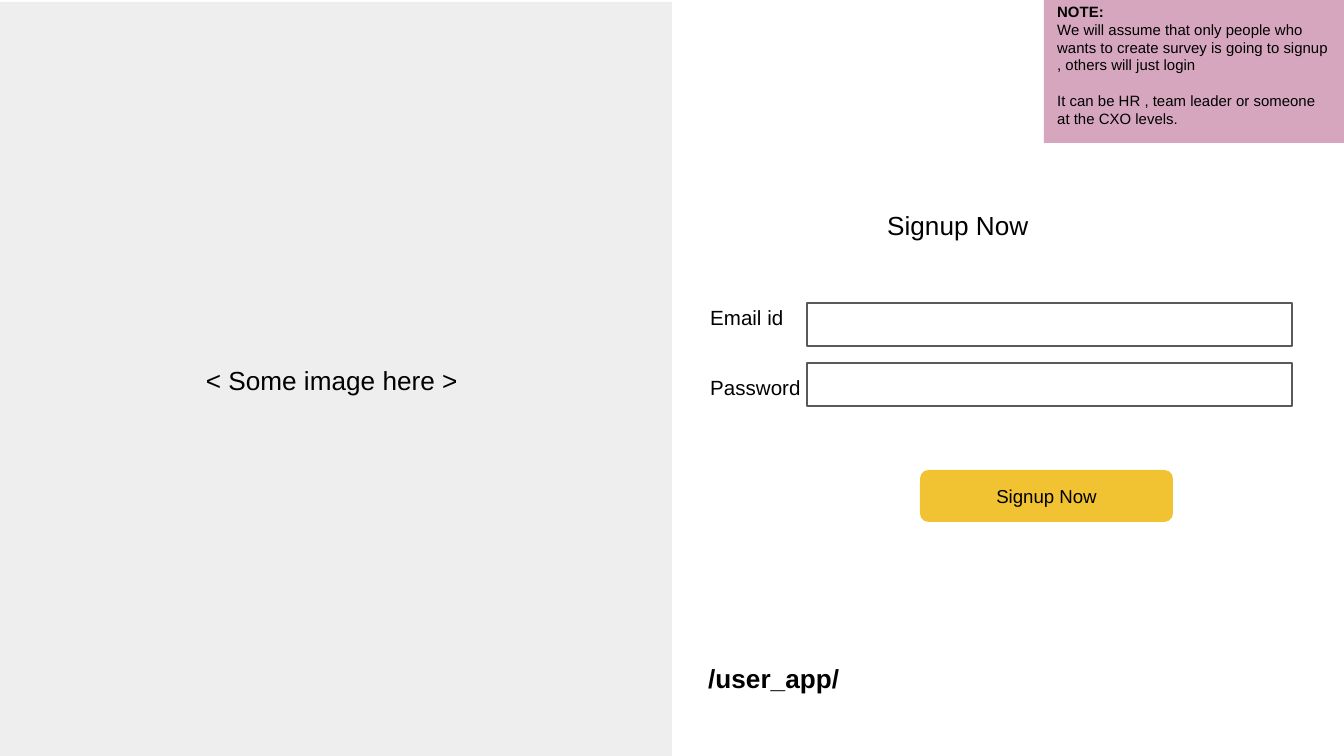
from pptx import Presentation
from pptx.dml.color import RGBColor
from pptx.enum.shapes import MSO_SHAPE
from pptx.enum.text import MSO_ANCHOR, PP_ALIGN
from pptx.util import Pt

EMU_PER_PX = 914400 / 134.4
RECT, ROUNDED = MSO_SHAPE.RECTANGLE, MSO_SHAPE.ROUNDED_RECTANGLE
LEFT, CENTER = PP_ALIGN.LEFT, PP_ALIGN.CENTER
TOP, MIDDLE = MSO_ANCHOR.TOP, MSO_ANCHOR.MIDDLE
FONT = "Arial"
COLORS = {
    "text": "000000",
    "field_line": "595959",
    "button": "F1C232",
    "image": "EEEEEE",
    "note": "D5A6BD",
}


def px(length):
    return round(length * EMU_PER_PX)


def rgb(name):
    return RGBColor.from_string(COLORS[name])


def add_box(slide, box, kind=RECT, fill=None, line=None):
    shape = slide.shapes.add_shape(kind, *map(px, box))
    shape.shadow.inherit = False
    if fill:
        shape.fill.solid()
        shape.fill.fore_color.rgb = rgb(fill)
    else:
        shape.fill.background()
    if line:
        shape.line.color.rgb = rgb(line)
        shape.line.width = Pt(0.75)
    else:
        shape.line.fill.background()
    return shape


def write(shape, text, size=14, bold_lines=(), align=LEFT, anchor=TOP, gaps=None):
    """Write one paragraph a line; gaps maps a line index to its space before."""
    frame = shape.text_frame
    frame.word_wrap = True
    frame.vertical_anchor = anchor
    frame.margin_left = frame.margin_right = px(13.44)
    frame.margin_top = frame.margin_bottom = px(13.44)
    for index, line in enumerate(text.split("\n")):
        paragraph = frame.add_paragraph() if index else frame.paragraphs[0]
        paragraph.alignment = align
        paragraph.space_before = Pt((gaps or {}).get(index, 0))
        run = paragraph.add_run()
        run.text = line
        run.font.name = FONT
        run.font.size = Pt(size)
        run.font.bold = index in bold_lines
        run.font.color.rgb = rgb("text")


def add_label(slide, box, text, **text_format):
    write(slide.shapes.add_textbox(*map(px, box)), text, **text_format)


def add_signup_form(slide, left, top):
    # Heading
    add_label(slide, (left + 177, top, 200, 59), "Signup Now")
    # Input fields, each with its label
    for name, field_top, label_top in (("Email id", 107, 97), ("Password", 167, 167)):
        add_box(slide, (left + 110, top + field_top, 485, 43), line="field_line")
        add_label(slide, (left, top + label_top, 145, 52), name, size=11)
    # Button
    button = add_box(slide, (left + 223, top + 274, 253, 52), ROUNDED, fill="button")
    write(button, "Signup Now", size=10, align=CENTER, anchor=MIDDLE)


def add_image_panel(slide, box):
    panel = add_box(slide, box, fill="image")
    # The closing space shifts the centred words slightly left
    write(panel, "< Some image here > ", align=CENTER, anchor=MIDDLE)


def add_note(slide, box):
    note = add_box(slide, box, fill="note")
    write(
        note,
        "NOTE:\n"
        "We will assume that only people who wants to create survey is going "
        "to signup , others will just login\n"
        "It can be HR , team leader or someone at the CXO levels.",
        size=8, bold_lines=(0,), gaps={2: 9.5},
    )


def main():
    presentation = Presentation()
    presentation.slide_width, presentation.slide_height = px(1344), px(756)
    slide = presentation.slides.add_slide(presentation.slide_layouts[6])

    add_signup_form(slide, 697, 196)
    add_image_panel(slide, (-1, 2, 673, 756))
    add_note(slide, (1044, -11, 301, 154))
    # Route of this page
    add_label(slide, (695, 649, 652, 59), "/user_app/", bold_lines=(0,))

    presentation.save("out.pptx")


if __name__ == "__main__":
    main()
